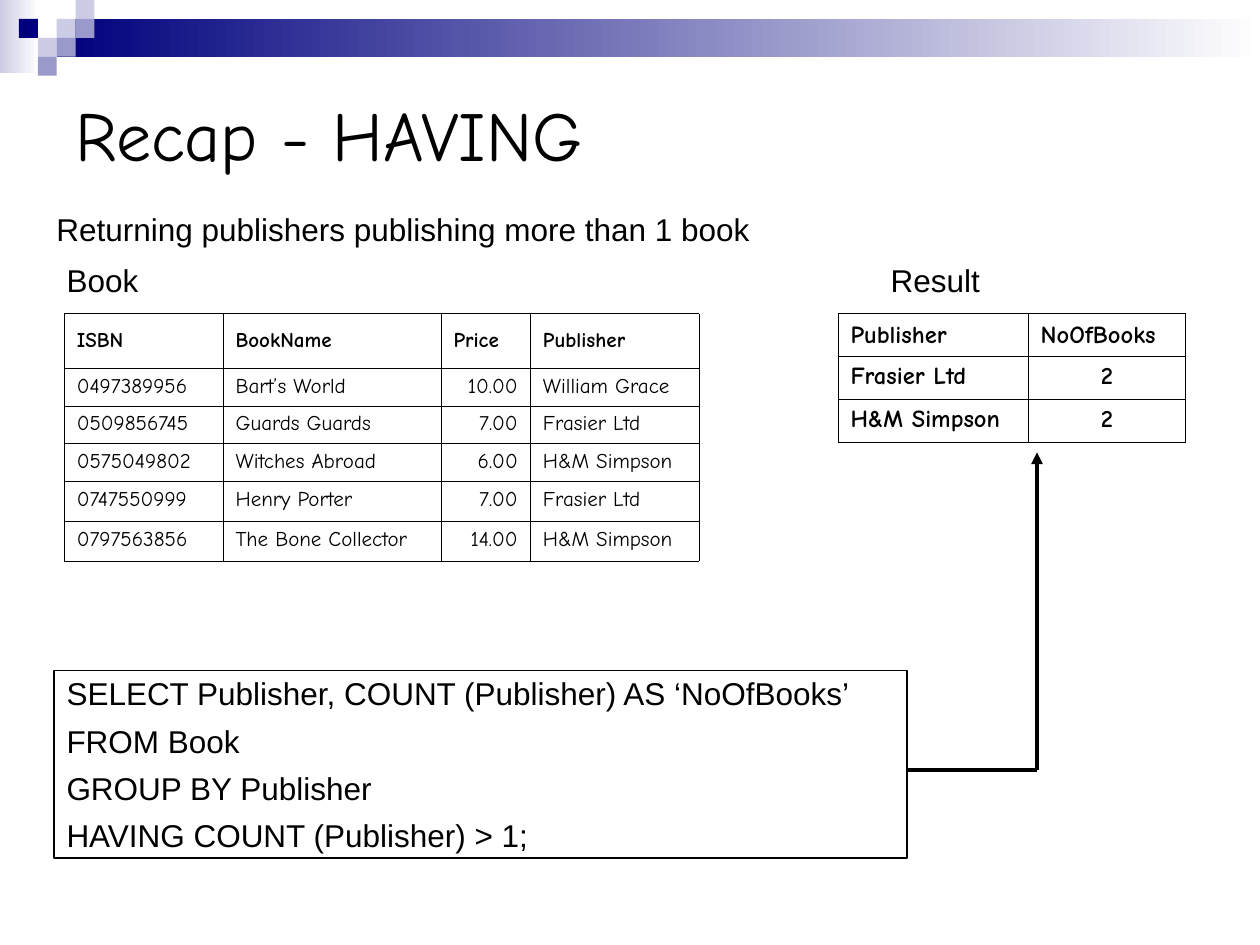
import pptx
import pptx.dml.color
import pptx.enum.shapes
import pptx.enum.text
import pptx.oxml
import pptx.oxml.ns
import pptx.util
from pptx.util import Inches

COLORS = {
    "ink": "000000",
    "paper": "FFFFFF",
    "navy": "00007D",
    "violet": "9999CC",
    "lilac": "CCCCE6",
}
ALIGN = pptx.enum.text.PP_ALIGN
ANCHOR = pptx.enum.text.MSO_ANCHOR
BODY = {"name": "Arial", "size": pptx.util.Pt(18)}
TITLE = {"name": "Comic Neue", "size": pptx.util.Pt(40)}

BOOKS = [
    ["ISBN", "BookName", "Price", "Publisher"],
    ["0497389956", "Bart’s World", "10.00", "William Grace"],
    ["0509856745", "Guards Guards", "7.00", "Frasier Ltd"],
    ["0575049802", "Witches Abroad", "6.00", "H&M Simpson"],
    ["0747550999", "Henry Porter", "7.00", "Frasier Ltd"],
    ["0797563856", "The Bone Collector", "14.00", "H&M Simpson"],
]
RESULT = [["Publisher", "NoOfBooks"], ["Frasier Ltd", "2"], ["H&M Simpson", "2"]]
QUERY = [
    "SELECT Publisher, COUNT (Publisher) AS ‘NoOfBooks’",
    "FROM Book",
    "GROUP BY Publisher",
    "HAVING COUNT (Publisher) > 1;",
]


def rgb(name):
    return pptx.dml.color.RGBColor.from_string(COLORS[name])


def write_span(para, text, style):
    span = para.add_run()
    span.text = text
    span.font.color.rgb = rgb("ink")
    for name, value in style.items():
        setattr(span.font, name, value)


def add_text(page, box, lines, style, anchor=ANCHOR.TOP, gap=0):
    shape = page.shapes.add_textbox(*map(Inches, box))
    frame = shape.text_frame
    frame.word_wrap = True
    frame.vertical_anchor = anchor
    for index, line in enumerate(lines):
        para = frame.add_paragraph() if index else frame.paragraphs[0]
        if index and gap:
            para.space_before = pptx.util.Pt(gap)
        write_span(para, line, style)
    return shape


def add_block(page, box, *colors):
    """Add a borderless rectangle, with a left-to-right gradient for two colours."""
    shape = page.shapes.add_shape(
        pptx.enum.shapes.MSO_SHAPE.RECTANGLE, *map(Inches, box))
    shape.shadow.inherit = False
    shape.line.fill.background()
    if len(colors) == 1:
        shape.fill.solid()
        shape.fill.fore_color.rgb = rgb(colors[0])
        return
    shape.fill.gradient()
    shape.fill.gradient_angle = 0
    for position, (stop, color) in enumerate(zip(shape.fill.gradient_stops, colors)):
        stop.position = position
        stop.color.rgb = rgb(color)


def add_banner(page, left, top, width):
    tile = 0.15
    add_block(page, (left, top, 0.31, 0.58), "lilac", "paper")
    add_block(page, (left + 3 * tile, top + tile, width - 3 * tile, 2 * tile),
              "navy", "paper")
    for column, row, color in [
        (3, 1, "lilac"), (4, 0, "lilac"), (4, 1, "violet"), (2, 2, "lilac"),
        (1, 1, "navy"), (3, 2, "violet"), (2, 3, "violet"),
    ]:
        add_block(page, (left + column * tile, top + row * tile, tile, tile), color)


def add_borders(cell):
    props = cell._tc.get_or_add_tcPr()
    for position, side in enumerate(("lnL", "lnR", "lnT", "lnB")):
        props.insert(position, pptx.oxml.parse_xml(
            f'<a:{side} {pptx.oxml.ns.nsdecls("a")} w="{pptx.util.Pt(0.34)}">'
            f'<a:solidFill><a:srgbClr val="{COLORS["ink"]}"/></a:solidFill></a:{side}>'))


def add_grid(page, left, top, widths, heights, rows, size, aligns, bold_body):
    box = map(Inches, (left, top, sum(widths), sum(heights)))
    table = page.shapes.add_table(len(rows), len(widths), *box).table
    table.first_row = table.horz_banding = False
    for column, width in zip(table.columns, widths):
        column.width = Inches(width)
    for index, (row, height, texts) in enumerate(zip(table.rows, heights, rows)):
        header = index == 0
        row.height = Inches(height)
        style = {"name": "Comic Neue", "size": pptx.util.Pt(size),
                 "bold": header or bold_body}
        for cell, text, align in zip(row.cells, texts, aligns):
            if header:
                cell.fill.background()
                cell.vertical_anchor = ANCHOR.MIDDLE
            else:
                cell.fill.solid()
                cell.fill.fore_color.rgb = rgb("paper")
            para = cell.text_frame.paragraphs[0]
            para.alignment = ALIGN.LEFT if header else align
            write_span(para, text, style)
            add_borders(cell)


def add_query(page, box):
    shape = add_text(page, box, QUERY, BODY, ANCHOR.MIDDLE, gap=5.4)
    shape.line.color.rgb = rgb("ink")
    shape.line.width = pptx.util.Pt(0.75)


def add_line(page, start, end, arrow=False):
    line = page.shapes.add_connector(
        pptx.enum.shapes.MSO_CONNECTOR.STRAIGHT, *map(Inches, (*start, *end)))
    line.line.color.rgb = rgb("ink")
    line.line.width = pptx.util.Pt(2.25)
    if arrow:
        line.line._get_or_add_ln().append(pptx.oxml.parse_xml(
            f'<a:tailEnd {pptx.oxml.ns.nsdecls("a")} type="triangle"/>'))
    line._element.spPr.append(
        pptx.oxml.parse_xml(f'<a:effectLst {pptx.oxml.ns.nsdecls("a")}/>'))


def add_result_arrow(page, start, end):
    """Run right from start, then straight up to an arrowhead at end."""
    corner = (end[0], start[1])
    add_line(page, start, corner)
    add_line(page, corner, end, arrow=True)


def main():
    deck = pptx.Presentation()
    deck.slide_width, deck.slide_height = Inches(10), Inches(7.5)
    page = deck.slides.add_slide(deck.slide_layouts[6])
    add_banner(page, 0, 0, 10)
    add_text(page, (0.5, 0.5, 9, 1.12), ["Recap - HAVING"], TITLE, ANCHOR.MIDDLE)
    add_text(page, (0.35, 1.62, 9.37, 0.4),
             ["Returning publishers publishing more than 1 book"], BODY)
    add_query(page, (0.43, 5.32, 6.77, 1.49))
    add_result_arrow(page, (7.2, 6.11), (8.23, 3.59))
    add_text(page, (0.43, 2.02, 2.91, 0.4), ["Book"], BODY)
    add_grid(page, 6.65, 2.49, [1.51, 1.25], [0.34] * 3, RESULT, 14,
             [ALIGN.LEFT, ALIGN.CENTER], bold_body=True)
    add_text(page, (6.97, 2.02, 1.18, 0.4), ["Result"], BODY)
    add_grid(page, 0.51, 2.49, [1.26, 1.73, 0.71, 1.34],
             [0.43, 0.3, 0.3, 0.3, 0.32, 0.31], BOOKS, 12,
             [ALIGN.LEFT, ALIGN.LEFT, ALIGN.RIGHT, ALIGN.LEFT], bold_body=False)
    deck.save("out.pptx")


if __name__ == "__main__":
    main()
